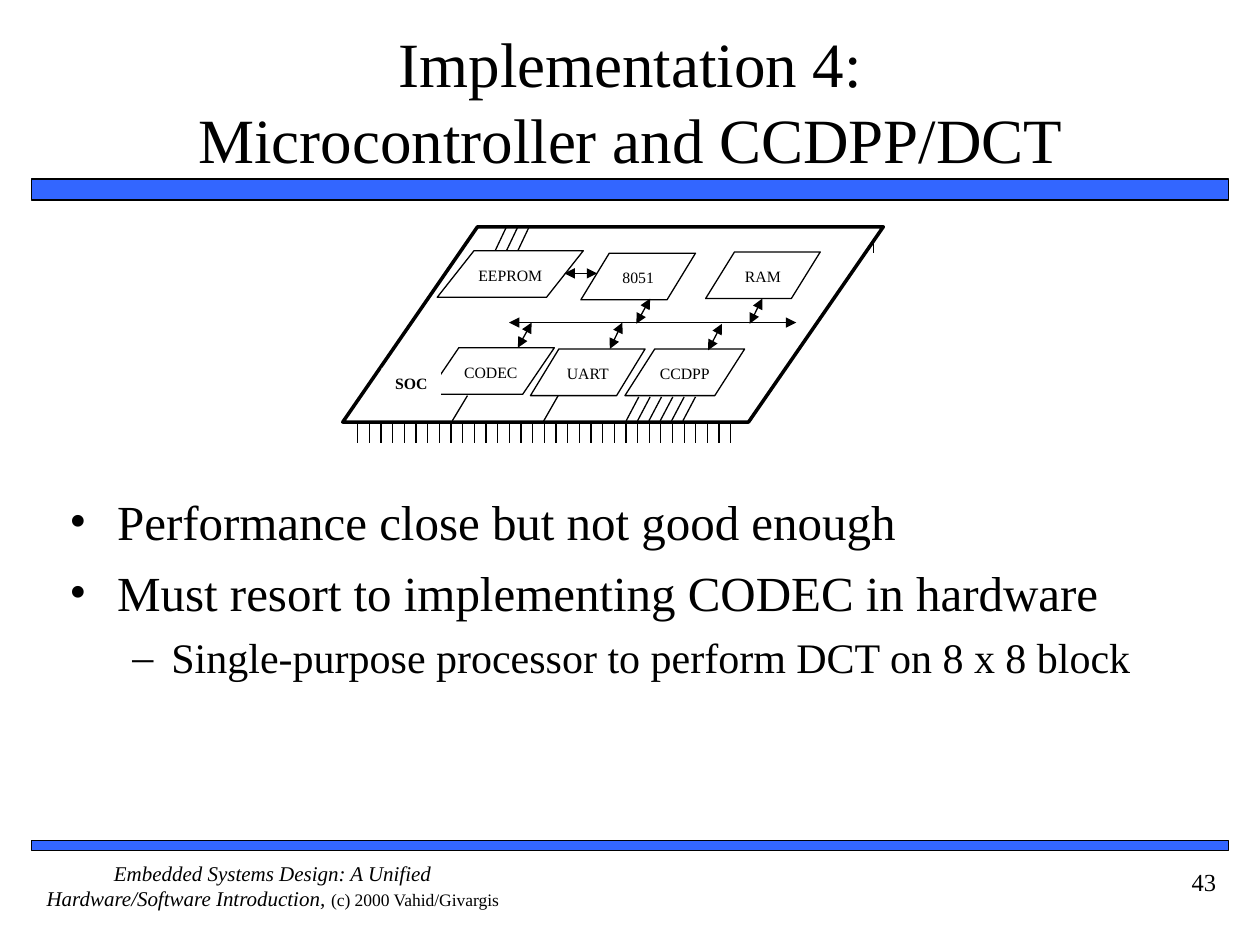
import pptx
import pptx.dml.color
import pptx.enum.shapes
import pptx.enum.text
import pptx.oxml.ns
import pptx.util
from dataclasses import dataclass
from lxml import etree

Inches, Pt = pptx.util.Inches, pptx.util.Pt
RGB = pptx.dml.color.RGBColor.from_string
qn = pptx.oxml.ns.qn
Shape = pptx.enum.shapes.MSO_SHAPE
Align = pptx.enum.text.PP_ALIGN
Anchor = pptx.enum.text.MSO_ANCHOR


@dataclass
class Theme:
    font: str = "Times New Roman"
    ink: str = "000000"
    paper: str = "FFFFFF"
    bar: str = "3366FF"
    title: int = 36
    item: int = 28
    sub: int = 24
    page: int = 14
    foot: int = 12
    note: int = 10
    label: int = 9
    thin: float = 0.75
    thick: int = 2


theme = Theme()


def write(para, text, size, align=None, before=0, bold=False, italic=False):
    """Append text to a paragraph; a newline becomes a line break."""
    if align is not None:
        para.alignment = align
    para.space_before = Pt(before)
    for n, part in enumerate(text.split("\n")):
        if n:
            para.add_line_break()
            gap = para._p.findall(qn("a:br"))[-1]
            etree.SubElement(gap, qn("a:rPr"), sz=str(size * 100))
        run = para.add_run()
        run.text = part
        font = run.font
        font.name, font.size = theme.font, Pt(size)
        font.bold, font.italic = bold, italic
        font.color.rgb = RGB(theme.ink)


def wire(group, x1, y1, x2, y2, arrow=False):
    """Draw a thin line, with arrowheads on both ends if asked."""
    line = group.shapes.add_connector(
        pptx.enum.shapes.MSO_CONNECTOR.STRAIGHT,
        Inches(x1), Inches(y1), Inches(x2), Inches(y2))
    line.line.color.rgb = RGB(theme.ink)
    line.line.width = Pt(theme.thin)
    if arrow:
        pen = line.line._get_or_add_ln()
        for end in ("a:headEnd", "a:tailEnd"):
            etree.SubElement(pen, qn(end), type="triangle")
    etree.SubElement(line._element.spPr, qn("a:effectLst"))


deck = pptx.Presentation()
deck.slide_width, deck.slide_height = Inches(10), Inches(7.5)
slide = deck.slides.add_slide(deck.slide_layouts[1])
title, body = slide.placeholders

# Blue bars
for top, high in ((1.42, 0.17), (6.67, 0.08)):
    bar = slide.shapes.add_shape(
        Shape.RECTANGLE, Inches(0.25), Inches(top), Inches(9.5), Inches(high))
    bar.shadow.inherit = False
    bar.fill.solid()
    bar.fill.fore_color.rgb = RGB(theme.bar)
    bar.line.color.rgb = RGB(theme.ink)
    bar.line.width = Pt(1)

# Title
title.left, title.top = Inches(0.42), Inches(0.17)
title.width, title.height = Inches(9.17), Inches(1.25)
frame = title.text_frame
frame.auto_size = pptx.enum.text.MSO_AUTO_SIZE.NONE
frame.vertical_anchor = Anchor.MIDDLE
frame.margin_left = frame.margin_right = 0
write(frame.paragraphs[0], "Implementation 4:\nMicrocontroller and CCDPP/DCT",
      theme.title, align=Align.CENTER)

# Bullet list: text, level, size, space before, left margin, hang, bullet
body.left, body.top = Inches(0.45), Inches(3.85)
body.width, body.height = Inches(9.17), Inches(2.75)
frame = body.text_frame
frame.auto_size = pptx.enum.text.MSO_AUTO_SIZE.NONE
items = (
    ("Performance close but not good enough",
     0, theme.item, 0, 0.38, 0.38, "•"),
    ("Must resort to implementing CODEC in hardware",
     0, theme.item, 7, 0.38, 0.38, "•"),
    ("Single-purpose processor to perform DCT on 8 x 8 block",
     1, theme.sub, 6, 0.81, 0.31, "–"),
)
for n, (text, level, size, before, left, hang, mark) in enumerate(items):
    para = frame.add_paragraph() if n else frame.paragraphs[0]
    para.level = level
    props = para._p.get_or_add_pPr()
    props.set("marL", str(Inches(left)))
    props.set("indent", str(-Inches(hang)))
    etree.SubElement(props, qn("a:buFont"), typeface=theme.font)
    etree.SubElement(props, qn("a:buChar"), char=mark)
    write(para, text, size, before=before)

# Chip board and its blocks: text, left, top, width, height, slant
chip = slide.shapes.add_group_shape()
blocks = (
    ("", 2.72, 1.8, 4.29, 1.55, 0.69),
    ("8051", 4.61, 2.01, 0.91, 0.37, 0.61),
    ("UART", 4.21, 2.77, 0.91, 0.37, 0.61),
    ("CCDPP", 4.96, 2.77, 0.95, 0.37, 0.64),
    ("RAM", 5.6, 2, 0.91, 0.37, 0.62),
    ("EEPROM", 3.47, 1.99, 1.16, 0.37, 0.79),
    ("CODEC", 3.39, 2.76, 1.01, 0.37, 0.68),
    ("SOC", 3.03, 2.92, 0.47, 0.36, None),
)
for text, left, top, wide, high, slant in blocks:
    kind = Shape.PARALLELOGRAM if slant else Shape.RECTANGLE
    block = chip.shapes.add_shape(
        kind, Inches(left), Inches(top), Inches(wide), Inches(high))
    block.shadow.inherit = False
    block.fill.solid()
    block.fill.fore_color.rgb = RGB(theme.paper)
    if slant:
        block.adjustments[0] = slant
        block.line.color.rgb = RGB(theme.ink)
        block.line.width = Pt(theme.thin if text else theme.thick)
    else:
        block.line.fill.background()
    if text:
        frame = block.text_frame
        frame.word_wrap = False
        frame.vertical_anchor = Anchor.TOP
        write(frame.paragraphs[0], text, theme.label,
              align=Align.CENTER, bold=not slant)

# Bus and links between blocks
links = (
    (4.04, 2.56, 6.32, 2.56),
    (4.48, 2.17, 4.74, 2.17),
    (4.84, 2.77, 4.94, 2.56),
    (5.62, 2.78, 5.73, 2.57),
    (5.95, 2.57, 6.05, 2.37),
    (5.05, 2.57, 5.16, 2.37),
    (4.11, 2.76, 4.22, 2.56),
)
for ends in links:
    wire(chip, *ends, arrow=True)

# Pins along the front edge
for n in range(33):
    x = 2.84 + n * 2.96 / 32
    wire(chip, x, 3.36, x, 3.52)

# Traces from blocks to the board edge
for n in range(6):
    x = 5.07 + n * 0.09
    wire(chip, x, 3.15, x - 0.1, 3.34)
for n in range(3):
    x = 4.02 + n * 0.09
    wire(chip, x, 1.8, x - 0.09, 1.99)
for ends in ((3.71, 3.14, 3.59, 3.34), (4.43, 3.14, 4.31, 3.35),
             (6.93, 1.93, 6.93, 2.01)):
    wire(chip, *ends)

# Footer
foot = slide.shapes.add_textbox(
    Inches(0.25), Inches(6.83), Inches(3.83), Inches(0.5))
frame = foot.text_frame
frame.word_wrap = True
frame.margin_left = frame.margin_right = 0
frame.margin_top = frame.margin_bottom = 0
para = frame.paragraphs[0]
write(para, "Embedded Systems Design: A Unified Hardware/Software Introduction, ",
      theme.foot, align=Align.CENTER, italic=True)
write(para, "(c) 2000 Vahid/Givargis", theme.note)

# Page number
page = slide.shapes.add_textbox(
    Inches(8.75), Inches(6.83), Inches(1), Inches(0.5))
page.text_frame.word_wrap = True
write(page.text_frame.paragraphs[0], "43", theme.page, align=Align.RIGHT)

deck.save("out.pptx")
